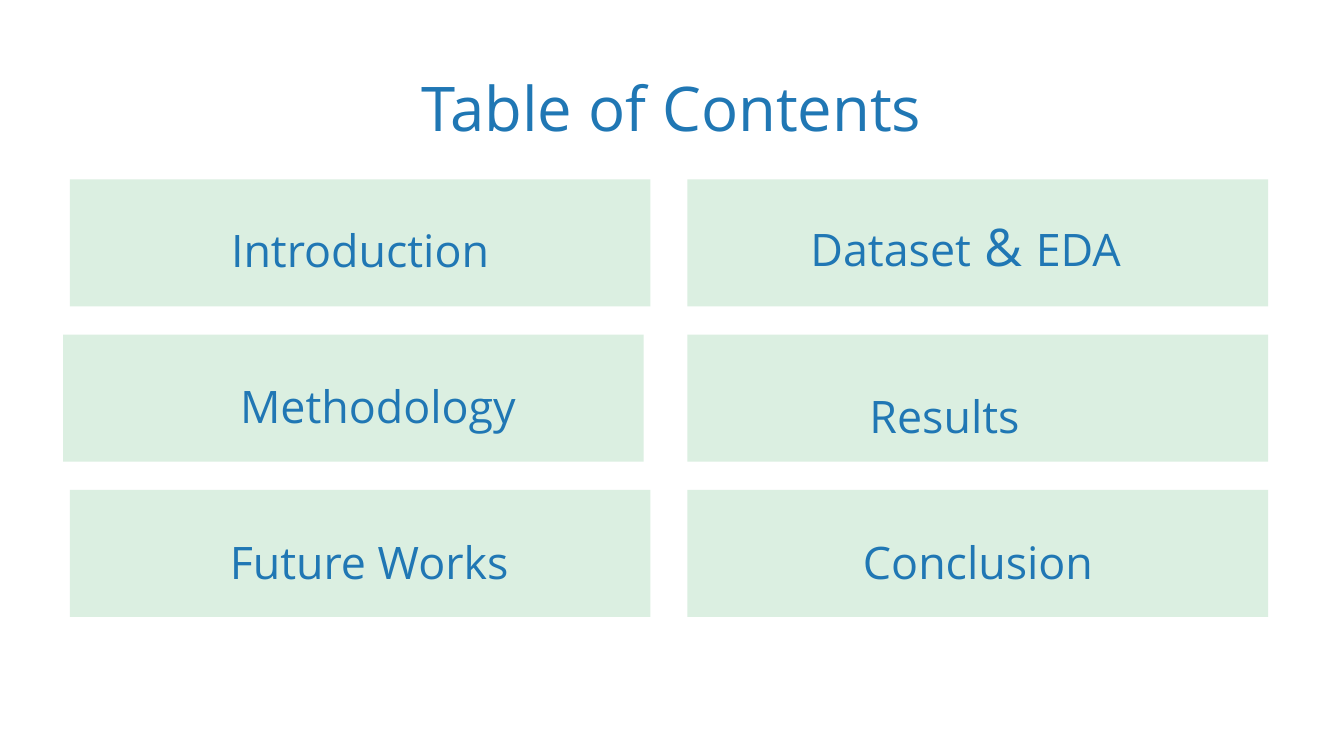
import pptx
import pptx.dml.color
import pptx.enum.shapes
import pptx.enum.text
import pptx.util

BLUE = pptx.dml.color.RGBColor(0x20, 0x77, 0xB4)
MINT = pptx.dml.color.RGBColor(0xDB, 0xEF, 0xE1)
FONT = "Open Sans"

# The slide is a grid of 100 columns by 56.25 rows of square cells.
CELL = 0.2
CARD_W, CARD_H = 43.2, 9.45
GRID_LEFT, GRID_TOP = 5.2, 13.35
COL_STEP, ROW_STEP = 45.95, 11.55
LABEL_H = 5.15

# Column, row, card shift, runs, then the label's left, top and width in its card
ENTRIES = [
    (0, 0, 0, [("Introduction", 48)], (9, 1.85, 25.2)),
    (1, 0, 0, [("Dataset", 48), (" & ", 55.6), ("EDA", 48)], (6.45, 1.85, 28.5)),
    (0, 1, -0.5, [("Methodology", 48)], (9.5, 1.9, 27.85)),
    (1, 1, 0, [("Results", 48)], (9.1, 2.65, 20.05)),
    (0, 2, 0, [("Future Works", 48)], (7.7, 1.9, 29.15)),
    (1, 2, 0, [("Conclusion", 48)], (10.85, 1.9, 21.55)),
]


def cells(*lengths):
    return [pptx.util.Inches(n * CELL) for n in lengths]


def add_text(s, box, runs, line_spacing):
    tf = s.shapes.add_textbox(*cells(*box)).text_frame
    tf.word_wrap = True
    tf.margin_left = tf.margin_right = tf.margin_top = tf.margin_bottom = 0
    p = tf.paragraphs[0]
    p.alignment = pptx.enum.text.PP_ALIGN.CENTER
    p.line_spacing = pptx.util.Pt(line_spacing)
    p.font.name = FONT
    p.font.color.rgb = BLUE
    for text, size in runs:
        r = p.add_run()
        r.text = text
        r.font.size = pptx.util.Pt(size)


def add_card(s, box, runs, label):
    left, top, width, height = box
    sp = s.shapes.add_shape(pptx.enum.shapes.MSO_SHAPE.RECTANGLE, *cells(*box))
    sp.shadow.inherit = False
    sp.fill.solid()
    sp.fill.fore_color.rgb = MINT
    sp.line.fill.background()
    dx, dy, label_w = label
    add_text(s, (left + dx, top + dy, label_w, LABEL_H), runs, 77.8)


def add_contents(s, left, top):
    for col, row, shift, runs, label in ENTRIES:
        box = (left + col * COL_STEP + shift, top + row * ROW_STEP, CARD_W, CARD_H)
        add_card(s, box, runs, label)


def main():
    prs = pptx.Presentation()
    prs.slide_width, prs.slide_height = cells(100, 56.25)
    s = prs.slides.add_slide(prs.slide_layouts[6])
    add_text(s, (24.8, 2.95, 50.35, 7.1), [("Table of Contents", 66)], 112)
    add_contents(s, GRID_LEFT, GRID_TOP)
    prs.save("out.pptx")


if __name__ == "__main__":
    main()
